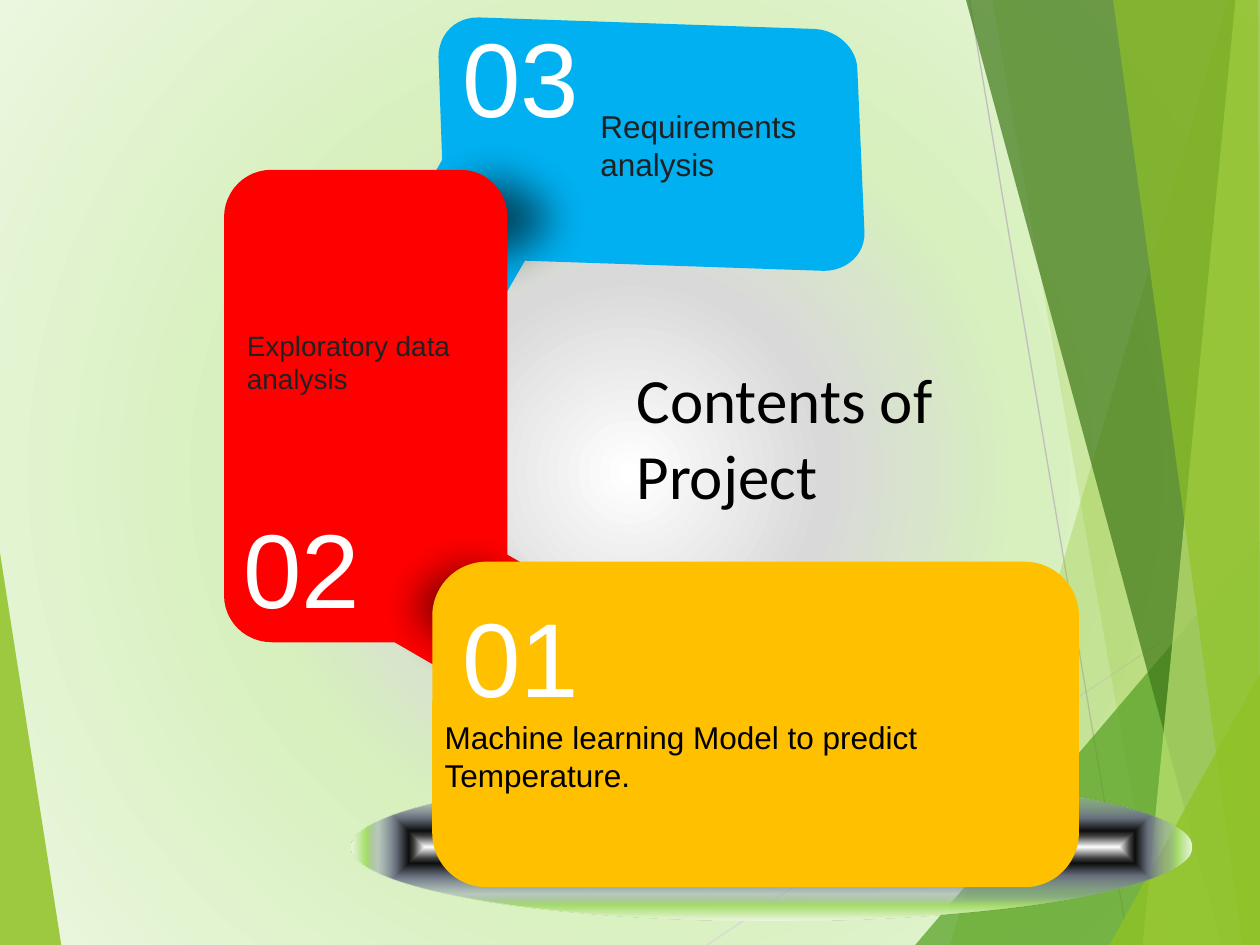
from pptx import Presentation
from pptx.dml.color import RGBColor
from pptx.enum.shapes import MSO_CONNECTOR, MSO_SHAPE
from pptx.enum.text import MSO_ANCHOR, PP_ALIGN
from pptx.oxml import parse_xml
from pptx.oxml.ns import nsdecls, qn
from pptx.oxml.xmlchemy import OxmlElement
from pptx.util import Pt

WHITE = RGBColor(0xFF, 0xFF, 0xFF)
BLACK = RGBColor(0, 0, 0)
INK = RGBColor(0x20, 0x21, 0x24)
BLUE = RGBColor(0x00, 0xB0, 0xF0)
RED = RGBColor(0xFF, 0, 0)
AMBER = RGBColor(0xFF, 0xC0, 0)
LIME = RGBColor(0x90, 0xC2, 0x26)
GREEN = RGBColor(0x54, 0xA0, 0x21)
FOREST = RGBColor(0x3F, 0x78, 0x19)
PALE_LIME = RGBColor(0xC0, 0xE4, 0x74)
SILVER = RGBColor(0xD9, 0xD9, 0xD9)
GREY = RGBColor(0xBF, 0xBF, 0xBF)
PALE = RGBColor(0xEB, 0xF7, 0xDF)
MINT = RGBColor(0xD7, 0xF0, 0xBD)

# Gradient stops: position, colour, opacity (percent)
BACKDROP_STOPS = [(0, WHITE, 100), (25, SILVER, 100), (50, MINT, 100), (100, PALE, 100)]
DISC_STOPS = [
    (0, WHITE, 100), (15, RGBColor(0x40, 0x40, 0x40), 100),
    (22, RGBColor(0x0D, 0x0D, 0x0D), 100), (39, RGBColor(0x68, 0x6F, 0x7D), 100),
    (64, RGBColor(0x95, 0xA0, 0xB5), 48), (79, RGBColor(0xA5, 0xDD, 0x69), 100),
    (100, PALE, 100),
]

# Facets of the backdrop: colour, opacity, corners
FACETS = [
    (LIME, 85, [(0, 316), (35, 540), (0, 540)]),
    (LIME, 30, [(702, 0), (543, 540), (720, 540), (720, 0)]),
    (LIME, 20, [(567, 0), (662, 540), (720, 540), (720, 0)]),
    (GREEN, 72, [(523, 540), (720, 309), (720, 540)]),
    (FOREST, 70, [(552, 0), (698, 540), (720, 540), (720, 0)]),
    (PALE_LIME, 70, [(706, 0), (653, 540), (720, 540), (720, 0)]),
    (LIME, 65, [(636, 0), (710, 540), (720, 540), (719, 0)]),
    (LIME, 80, [(634, 540), (720, 385), (720, 540)]),
]
RAYS = [(SILVER, (404, 540), (720, 329)), (GREY, (554, 0), (645, 540))]

# Callout outlines: two numbers are a corner, six are a Bezier curve
BLUE_OUTLINE = [
    (292, 30), (296, 122.5), (296.6, 135.4, 285.8, 144.8, 272.9, 144.8),
    (102, 139), (65, 203), (57, 217.5, 36.7, 222, 21, 213), (18.7, 212),
    (3, 202.4, -3.6, 183, 5, 168.6), (54.7, 81.4), (52.6, 22.4),
    (52.6, 9.4, 62.6, -0.6, 76.3, 0), (267.8, 6.6), (280.8, 7.3, 292, 18, 292, 30),
]
RED_OUTLINE = [
    (27.5, 0), (135, 0), (150, 0, 162, 12, 162, 27.5), (162, 220), (239, 264),
    (256, 274, 263, 297, 253, 314), (251, 317), (240.6, 334, 218, 341, 201, 330),
    (97.5, 270), (27.5, 270), (12, 270, 0, 258, 0, 243), (0, 27.5),
    (0, 12, 12, 0, 27.5, 0),
]


def flatten(outline, steps=12):
    """Turn corners and Bezier curves into a list of points."""
    points = []
    for part in outline:
        if len(part) == 2:
            points.append(part)
            continue
        knots = [points[-1], part[:2], part[2:4], part[4:]]
        for i in range(1, steps + 1):
            t = i / steps
            weights = ((1 - t) ** 3, 3 * t * (1 - t) ** 2, 3 * t * t * (1 - t), t ** 3)
            points.append(tuple(sum(w * k[axis] for w, k in zip(weights, knots))
                                for axis in (0, 1)))
    return points


def paint(sp, color, opacity=100):
    sp.shadow.inherit = False
    sp.line.fill.background()
    sp.fill.solid()
    sp.fill.fore_color.rgb = color
    if opacity < 100:
        alpha = OxmlElement("a:alpha")
        alpha.set("val", str(opacity * 1000))
        sp._element.spPr.find(".//" + qn("a:srgbClr")).append(alpha)


def set_gradient(fill, element, stops, kind):
    """Fill with a gradient that spreads from the centre."""
    fill.gradient()
    old = element.find(".//" + qn("a:gradFill"))
    marks = "".join(
        f'<a:gs pos="{pos * 1000}"><a:srgbClr val="{color}">'
        f'<a:alpha val="{opacity * 1000}"/></a:srgbClr></a:gs>'
        for pos, color, opacity in stops)
    old.getparent().replace(old, parse_xml(
        f'<a:gradFill {nsdecls("a")} rotWithShape="1"><a:gsLst>{marks}</a:gsLst>'
        f'<a:path path="{kind}"><a:fillToRect l="50000" t="50000" r="50000" b="50000"/>'
        '</a:path></a:gradFill>'))


def add_outline(slide, left, top, outline, color, opacity=100):
    points = [(x * 100, y * 100) for x, y in flatten(outline)]
    builder = slide.shapes.build_freeform(*points[0], scale=Pt(1) / 100)
    builder.add_line_segments(points[1:], close=True)
    paint(builder.convert_to_shape(Pt(left), Pt(top)), color, opacity)


def add_preset(slide, kind, left, top, width, height):
    return slide.shapes.add_shape(kind, Pt(left), Pt(top), Pt(width), Pt(height))


def add_soft_shadow(slide, left, top, width, height):
    sp = add_preset(slide, MSO_SHAPE.OVAL, left, top, width, height)
    paint(sp, BLACK, 60)
    soft = OxmlElement("a:softEdge")
    soft.set("rad", str(Pt(25)))
    sp._element.spPr.find(qn("a:effectLst")).append(soft)


def add_text(slide, left, top, width, height, text, size, color):
    tf = slide.shapes.add_textbox(Pt(left), Pt(top), Pt(width), Pt(height)).text_frame
    tf.word_wrap = True
    tf.text = text
    font = tf.paragraphs[0].runs[0].font
    font.name, font.size, font.color.rgb = "Arial", Pt(size), color


def add_backdrop(slide, left, top):
    set_gradient(slide.background.fill, slide._element, BACKDROP_STOPS, "circle")
    for color, (x1, y1), (x2, y2) in RAYS:
        ray = slide.shapes.add_connector(
            MSO_CONNECTOR.STRAIGHT, Pt(left + x1), Pt(top + y1), Pt(left + x2), Pt(top + y2))
        ray.line.color.rgb, ray.line.width = color, Pt(0.75)
        ray._element.spPr.append(OxmlElement("a:effectLst"))
    for color, opacity, corners in FACETS:
        add_outline(slide, left, top, corners, color, opacity)


def add_requirements(slide, left, top):
    add_outline(slide, left, top, BLUE_OUTLINE, BLUE)
    add_soft_shadow(slide, left + 19, top + 63, 132, 104)
    add_text(slide, left + 59, top - 6.5, 96, 80, "03", 60, WHITE)
    add_text(slide, left + 138, top + 47.5, 150, 51, "Requirements analysis", 18, INK)


def add_exploration(slide, left, top):
    add_outline(slide, left, top, RED_OUTLINE, RED)
    add_text(slide, left + 4, top + 187, 102, 80, "02", 60, WHITE)
    add_text(slide, left + 6, top + 87, 141, 66, "Exploratory data analysis", 16, INK)


def add_model(slide, left, top, width, height):
    # Metallic disc under the card
    disc = add_preset(slide, MSO_SHAPE.OVAL, left - 46, top + 121, 480, 84)
    paint(disc, WHITE)
    set_gradient(disc.fill, disc._element, DISC_STOPS, "shape")
    # Card with its number and label
    add_soft_shadow(slide, left - 42.5, top - 26.5, 126, 104)
    paint(add_preset(slide, MSO_SHAPE.ROUNDED_RECTANGLE, left, top, width, height), AMBER)
    add_text(slide, left + 10, top + 14, 96, 80, "01", 60, WHITE)
    add_text(slide, left, top + 86, width, 51,
             "Machine learning Model to predict Temperature.", 18, BLACK)


def set_title(slide, left, top, width, height):
    title = slide.shapes.title
    title.left, title.top, title.width, title.height = map(Pt, (left, top, width, height))
    tf = title.text_frame
    tf.text = "Contents of Project"
    tf.word_wrap, tf.vertical_anchor = True, MSO_ANCHOR.TOP
    p = tf.paragraphs[0]
    p.alignment = PP_ALIGN.LEFT
    font = p.runs[0].font
    font.name, font.size, font.color.rgb = "Calibri", Pt(36), BLACK


def main():
    prs = Presentation()
    prs.slide_width, prs.slide_height = Pt(720), Pt(540)
    slide = prs.slides.add_slide(prs.slide_layouts[5])
    add_backdrop(slide, 0, 0)
    add_requirements(slide, 198, 10)
    add_exploration(slide, 128, 97)
    add_model(slide, 247, 321, 369.5, 186)
    set_title(slide, 356.5, 202.5, 286, 94.5)
    prs.save("out.pptx")


if __name__ == "__main__":
    main()
